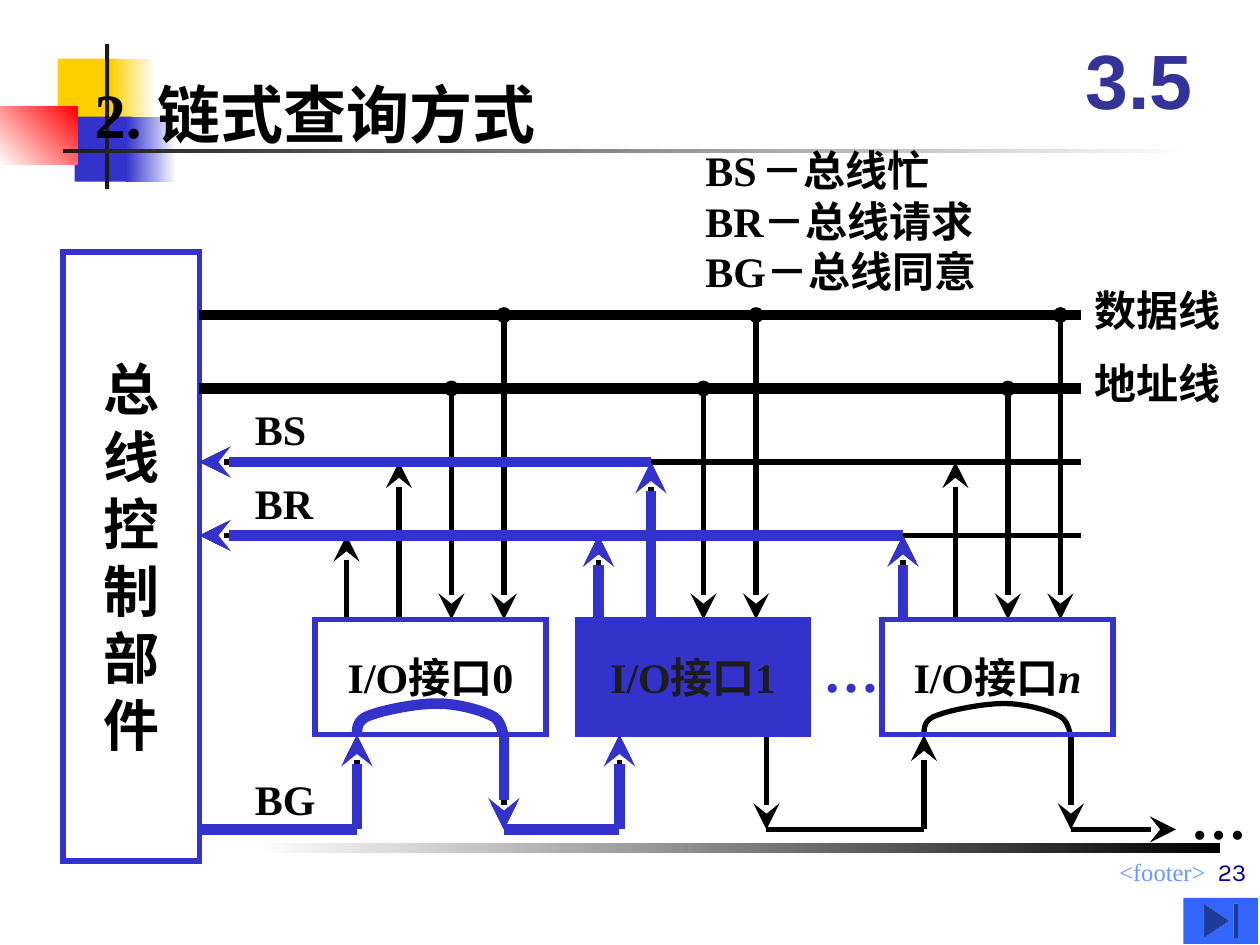
import pptx
import pptx.util
import pptx.dml.color
import pptx.enum.shapes
import pptx.enum.text
import pptx.oxml.ns
from lxml import etree

SHAPES = pptx.enum.shapes.MSO_SHAPE
ALIGN = pptx.enum.text.PP_ALIGN
ANCHOR = pptx.enum.text.MSO_ANCHOR
BLACK, BLUE, DARK, WHITE = "000000", "3333CC", "1C1C1C", "FFFFFF"
SERIF = "Times New Roman"
THIN, THICK = 3, 6

# ---- Content: all positions are in grid units, 120 to the slide width ----
# left, top, width, height, first colour, second colour, gradient angle
DECORATION = [
    (5.5, 5.6, 5.8, 6.2, "FFCF01", None, 0),
    (10.5, 5.6, 4.3, 6.2, WHITE, "FFCF01", 180),
    (7.1, 11.1, 5.5, 6.2, BLUE, None, 0),
    (12, 11.1, 4.8, 6.2, WHITE, BLUE, 180),
    (0, 10.1, 7.4, 5.6, "FF0000", WHITE, 225),
    (10, 4.2, 0.4, 13.8, DARK, None, 0),
    (6, 14.2, 108, 0.4, WHITE, DARK, 180),
    (24.2, 80.3, 92, 0.9, BLACK, WHITE, 180),
]
CONTROLLER = "总线控制部件"
PANEL_LEFT, PANEL_RIGHT, PANEL_TOP, PANEL_BOTTOM = 6, 19, 24, 82
BUS_RIGHT = 103
DATA, ADDRESS, BS, BR = 30, 37, 44, 51          # heights of the four buses
IO_TOP, IO_BOTTOM, IO_WIDTH, GRANT = 59, 70, 22, 79
# box left, first pin, grant input, caption parts
INTERFACES = [
    (30, 33, 34, ["I/O接口0"]),
    (55, 57, 59, ["I/O接口1"]),
    (84, 86, 88, ["I/O接口", "n"]),
]
PIN_STEP, GRANT_SPAN = 5, 14
ARCH = [(0, 0), (0, -0.7), (0, -1.5), (1.3, -1.9), (2.6, -2.4), (5.7, -3), (7.6, -3),
        (9.5, -3), (11.7, -2.4), (12.7, -1.9), (13.8, -1.5), (13.8, -0.2), (14, 0)]
# left, top, width, height, text, size, colour
LABELS = [
    (23.1, 37.8, 9, 6, "BS", 24, BLACK),
    (23.1, 44.9, 9, 6, "BR", 24, BLACK),
    (23.1, 73.1, 9, 6, "BG", 24, BLACK),
    (103.1, 26.5, 15, 6, "数据线", 24, BLACK),
    (103.1, 33.5, 15, 6, "地址线", 24, BLACK),
    (77.2, 60, 7.8, 7.7, "…", 32, BLUE),
    (112.2, 74, 7.8, 7.7, "…", 32, BLACK),
]
LEGEND = [["BS", " ", "－总线忙"], ["BR－总线请求"], ["BG－总线同意"]]

deck = pptx.Presentation()
deck.slide_width, deck.slide_height = pptx.util.Cm(25.4), pptx.util.Cm(19.05)
slide = deck.slides.add_slide(deck.slide_layouts[6])


def grid(*units):
    return [pptx.util.Cm(unit * 25.4 / 120) for unit in units]


def rgb(value):
    return pptx.dml.color.RGBColor.from_string(value)


def write(shape, paragraphs, size, color=BLACK, font=SERIF, bold=True,
          align=ALIGN.LEFT, anchor=ANCHOR.TOP, wrap=False):
    frame = shape.text_frame
    frame.word_wrap, frame.vertical_anchor = wrap, anchor
    frame.text = "\n".join(parts[0] for parts in paragraphs)
    for paragraph, parts in zip(frame.paragraphs, paragraphs):
        paragraph.alignment = align
        for part in parts[1:]:
            paragraph.add_run().text = part
        for run in paragraph.runs:
            run.font.size, run.font.name, run.font.bold = pptx.util.Pt(size), font, bold
            run.font.color.rgb = rgb(color)
    return frame


def label(left, top, width, height, paragraphs, size, color=BLACK, **style):
    box = slide.shapes.add_textbox(*grid(left, top, width, height))
    return write(box, paragraphs, size, color, **style)


def block(left, top, width, height, fill=None, line=None, kind=SHAPES.RECTANGLE):
    shape = slide.shapes.add_shape(kind, *grid(left, top, width, height))
    shape.shadow.inherit = False
    if fill:
        shape.fill.solid()
        shape.fill.fore_color.rgb = rgb(fill)
    else:
        shape.fill.background()
    if line:
        stroke(shape, line, THIN)
        etree.SubElement(shape.line._get_or_add_ln(), pptx.oxml.ns.qn("a:miter"), lim="800000")
    else:
        shape.line.fill.background()
    return shape


def stroke(shape, color, weight, start=None, end=None):
    shape.line.color.rgb, shape.line.width = rgb(color), pptx.util.Pt(weight)
    for tag, kind in (("a:headEnd", start), ("a:tailEnd", end)):
        if kind:
            size = "lg" if kind == "stealth" and weight == THIN else "med"
            etree.SubElement(shape.line._get_or_add_ln(), pptx.oxml.ns.qn(tag),
                             type=kind, w=size, len=size)


def wire(x1, y1, x2, y2, color=BLACK, weight=THIN, start=None, end=None):
    line = slide.shapes.add_connector(pptx.enum.shapes.MSO_CONNECTOR.STRAIGHT,
                                      *grid(x1, y1, x2, y2))
    stroke(line, color, weight, start, end)
    etree.SubElement(line._element.spPr, pptx.oxml.ns.qn("a:effectLst"))


def arch(left, color=BLACK, weight=THIN):
    points = [ARCH[0]]
    for i in range(0, len(ARCH) - 1, 3):
        for step in range(1, 9):
            t = step / 8
            weights = ((1 - t) ** 3, 3 * t * (1 - t) ** 2, 3 * t * t * (1 - t), t ** 3)
            points.append([sum(w * p[axis] for w, p in zip(weights, ARCH[i:i + 4]))
                           for axis in (0, 1)])
    places = [grid(left + x, IO_BOTTOM + y) for x, y in points]
    builder = slide.shapes.build_freeform(*places[0])
    builder.add_line_segments(places[1:], close=False)
    curve = builder.convert_to_shape()
    curve.shadow.inherit = False
    curve.fill.background()
    stroke(curve, color, weight)


def grant_link(x1, x2, color=BLACK, weight=THIN):
    wire(x1, GRANT, x2, GRANT, color, weight)
    wire(x2, GRANT, x2, IO_BOTTOM, color, weight, end="stealth")


# Background decoration and title
for left, top, width, height, first, second, angle in DECORATION:
    piece = block(left, top, width, height, first)
    if second:
        piece.fill.gradient()
        piece.fill.gradient_angle = angle
        for stop, color in zip(piece.fill.gradient_stops, (first, second)):
            stop.color.rgb = rgb(color)
label(47, 81, 69, 3.1, [["<footer>"]], 14, "6699FF", bold=False, align=ALIGN.RIGHT, wrap=True)
label(7.8, 6.6, 57.8, 8.4, [["2. 链式查询方式"]], 36, wrap=True)
label(101, 2, 15, 11, [["3.5"]], 44, "333399", font="Arial", align=ALIGN.CENTER,
      anchor=ANCHOR.MIDDLE, wrap=True)

# Bus controller and buses
panel = block(PANEL_LEFT, PANEL_TOP, PANEL_RIGHT - PANEL_LEFT, PANEL_BOTTOM - PANEL_TOP, line=BLUE)
write(panel, [[sign] for sign in CONTROLLER], 32, align=ALIGN.CENTER, anchor=ANCHOR.MIDDLE)
for bus in (DATA, ADDRESS):
    wire(PANEL_RIGHT, bus, BUS_RIGHT, bus, weight=THICK)
for bus in (BS, BR):
    wire(PANEL_RIGHT, bus, BUS_RIGHT, bus, start="stealth")

# Pins and grant chain of every interface
grant_from = PANEL_RIGHT
for left, pin, grant_in, caption in INTERFACES:
    for i, bus in enumerate((BR, BS)):
        wire(pin + i * PIN_STEP, IO_TOP, pin + i * PIN_STEP, bus, end="stealth")
    for i, bus in enumerate((ADDRESS, DATA), 2):
        wire(pin + i * PIN_STEP, bus, pin + i * PIN_STEP, IO_TOP, start="oval", end="stealth")
    grant_link(grant_from, grant_in)
    grant_from = grant_in + GRANT_SPAN
    wire(grant_from, IO_BOTTOM, grant_from, GRANT, end="stealth")
    arch(grant_in)
wire(grant_from, GRANT, 112, GRANT, end="stealth")

# Highlighted route: requests, grant through interface 0, busy from interface 1
pin_1, pin_n = INTERFACES[1][1], INTERFACES[2][1]
grant_0, grant_1 = INTERFACES[0][2], INTERFACES[1][2]
busy = pin_1 + PIN_STEP
for x1, y1, x2, y2 in [
    (busy, BS, PANEL_RIGHT, BS), (pin_n, BR, PANEL_RIGHT, BR),
    (pin_1, IO_TOP, pin_1, BR), (pin_n, IO_TOP, pin_n, BR), (busy, IO_TOP, busy, BS),
    (grant_0 + GRANT_SPAN, IO_BOTTOM, grant_0 + GRANT_SPAN, GRANT),
]:
    wire(x1, y1, x2, y2, BLUE, THICK, end="stealth")
grant_link(PANEL_RIGHT, grant_0, BLUE, THICK)
grant_link(grant_0 + GRANT_SPAN, grant_1, BLUE, THICK)
arch(grant_0, BLUE, THICK)

# Interface boxes, the second one selected
for i, (left, pin, grant_in, caption) in enumerate(INTERFACES):
    selected = i == 1
    box = block(left, IO_TOP, IO_WIDTH, IO_BOTTOM - IO_TOP, BLUE if selected else None, BLUE)
    frame = write(box, [caption], 24, DARK if selected else BLACK,
                  align=ALIGN.CENTER, anchor=ANCHOR.MIDDLE)
    for run in frame.paragraphs[0].runs[1:]:
        run.font.italic = True

# Labels, legend, page number and button
for left, top, width, height, text, size, color in LABELS:
    label(left, top, width, height, [[text]], size, color)
legend = label(66, 13.2, 35.6, 15.6, LEGEND, 24, wrap=True)
legend.paragraphs[0].runs[1].font.size = pptx.util.Pt(10)
label(62.5, 79, 57.4, 6, [["23"]], 14, "000099", font="Karla", bold=False,
      align=ALIGN.RIGHT, anchor=ANCHOR.BOTTOM, wrap=True)
block(112.7, 85.5, 7.1, 4.4, "3366FF", kind=SHAPES.ACTION_BUTTON_END)

deck.save("out.pptx")
